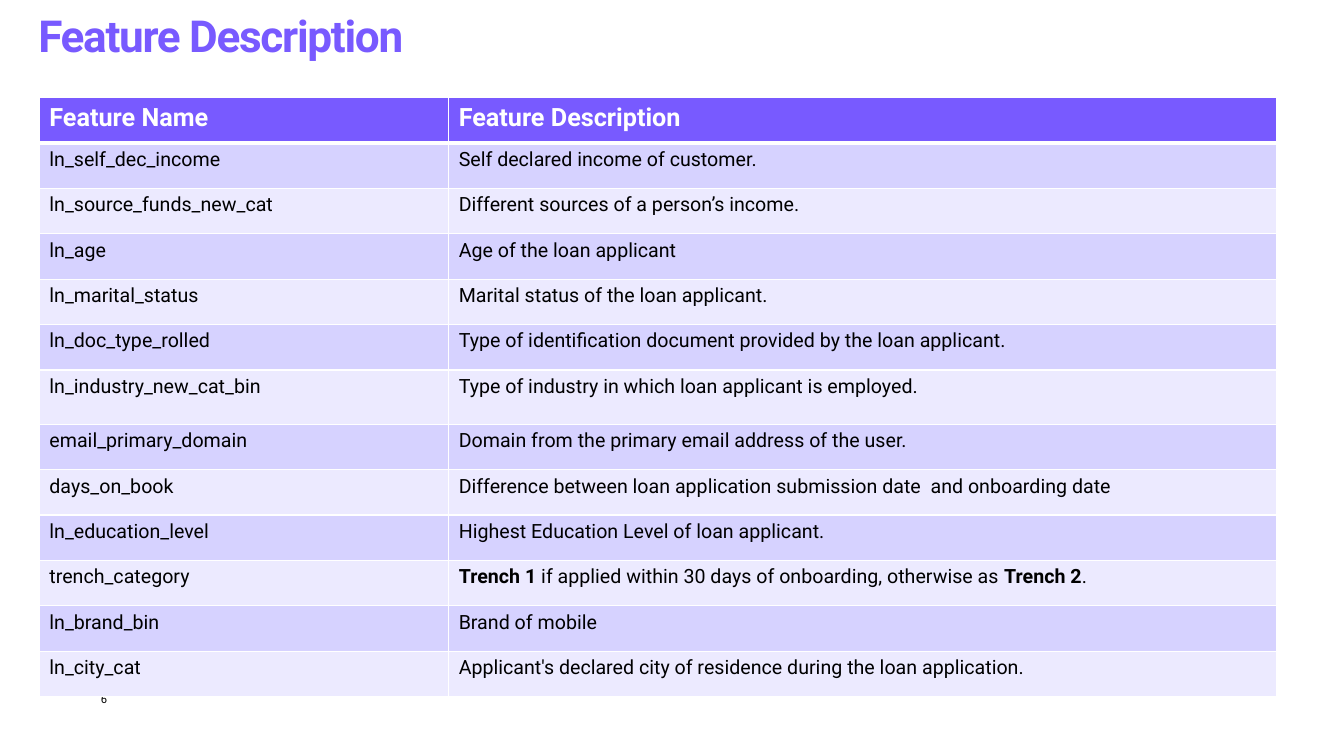
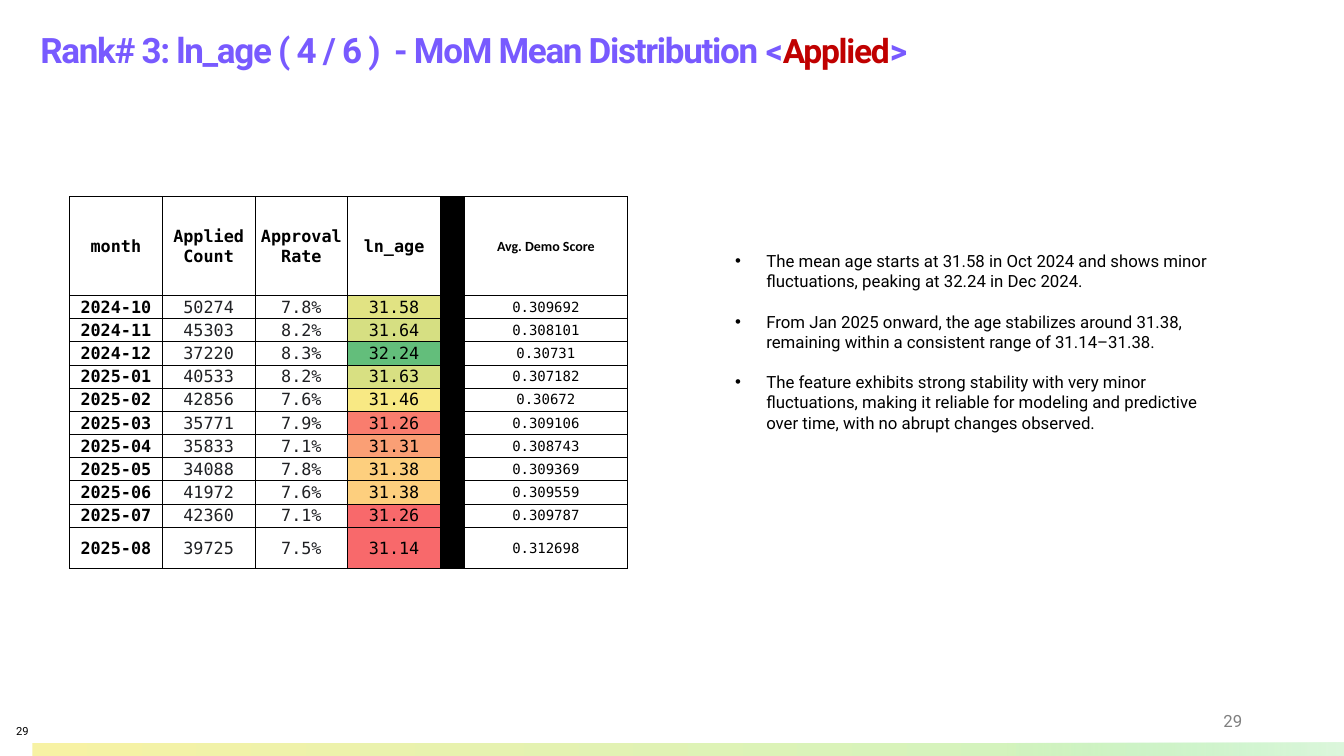
from lxml import etree
from pptx import Presentation
from pptx.dml.color import RGBColor
from pptx.enum.shapes import MSO_SHAPE
from pptx.enum.text import MSO_ANCHOR, MSO_AUTO_SIZE, PP_ALIGN
from pptx.oxml.ns import qn
from pptx.util import Inches, Pt

RECTANGLE = MSO_SHAPE.RECTANGLE
TOP, MIDDLE = MSO_ANCHOR.TOP, MSO_ANCHOR.MIDDLE
LEFT, CENTER, RIGHT = PP_ALIGN.LEFT, PP_ALIGN.CENTER, PP_ALIGN.RIGHT
NO_AUTOFIT = MSO_AUTO_SIZE.NONE

PURPLE = RGBColor(0x78, 0x5A, 0xFF)
LILAC = RGBColor(0xD6, 0xD2, 0xFF)
PALE_LILAC = RGBColor(0xEC, 0xEA, 0xFF)
WHITE = RGBColor(0xFF, 0xFF, 0xFF)
BLACK = RGBColor(0x00, 0x00, 0x00)
CHARCOAL = RGBColor(0x20, 0x21, 0x24)
GRAY = RGBColor(0x80, 0x80, 0x80)
RED = RGBColor(0xC0, 0x00, 0x00)
YELLOW = RGBColor(0xF7, 0xF2, 0xA4)
GREEN = RGBColor(0xC7, 0xF3, 0xC6)
PALE_GREEN = RGBColor(0xDD, 0xF8, 0xDD)

HEAT_OLIVE = RGBColor(0xE1, 0xE3, 0x83)
HEAT_LIME = RGBColor(0xD6, 0xDF, 0x82)
HEAT_GREEN = RGBColor(0x63, 0xBE, 0x7B)
HEAT_MOSS = RGBColor(0xD8, 0xE0, 0x82)
HEAT_YELLOW = RGBColor(0xF8, 0xE9, 0x84)
HEAT_CORAL = RGBColor(0xF9, 0x7D, 0x6E)
HEAT_ORANGE = RGBColor(0xFA, 0x9F, 0x75)
HEAT_AMBER = RGBColor(0xFD, 0xCF, 0x7E)
HEAT_RED = RGBColor(0xF8, 0x69, 0x6B)

SANS, MONO, LABEL = "Roboto", "DejaVu Sans Mono", "Calibri"
TITLE_ONLY, TITLE_AND_BODY = 5, 1

FEATURES = [
    ("ln_self_dec_income", "Self declared income of customer."),
    ("ln_source_funds_new_cat", "Different sources of a person’s income."),
    ("ln_age", "Age of the loan applicant"),
    ("ln_marital_status", "Marital status of the loan applicant."),
    ("ln_doc_type_rolled",
     "Type of identification document provided by the loan applicant."),
    ("ln_industry_new_cat_bin",
     "Type of industry in which loan applicant is employed."),
    ("email_primary_domain",
     "Domain from the primary email address of the user."),
    ("days_on_book",
     "Difference between loan application submission date  and onboarding date"),
    ("ln_education_level", "Highest Education Level of loan applicant."),
    ("trench_category", [
        ("Trench 1", {"bold": True}),
        (" if applied within 30 days of onboarding, otherwise as ", {}),
        ("Trench 2", {"bold": True}),
        (".", {}),
    ]),
    ("ln_brand_bin", "Brand of mobile"),
    ("ln_city_cat",
     "Applicant's declared city of residence during the loan application."),
]

MONTHS = [
    ("2024-10", "50274", "7.8%", "31.58", HEAT_OLIVE, "0.309692"),
    ("2024-11", "45303", "8.2%", "31.64", HEAT_LIME, "0.308101"),
    ("2024-12", "37220", "8.3%", "32.24", HEAT_GREEN, "0.30731"),
    ("2025-01", "40533", "8.2%", "31.63", HEAT_MOSS, "0.307182"),
    ("2025-02", "42856", "7.6%", "31.46", HEAT_YELLOW, "0.30672"),
    ("2025-03", "35771", "7.9%", "31.26", HEAT_CORAL, "0.309106"),
    ("2025-04", "35833", "7.1%", "31.31", HEAT_ORANGE, "0.308743"),
    ("2025-05", "34088", "7.8%", "31.38", HEAT_AMBER, "0.309369"),
    ("2025-06", "41972", "7.6%", "31.38", HEAT_AMBER, "0.309559"),
    ("2025-07", "42360", "7.1%", "31.26", HEAT_RED, "0.309787"),
    ("2025-08", "39725", "7.5%", "31.14", HEAT_RED, "0.312698"),
]

FINDINGS = [
    "The mean age starts at 31.58 in Oct 2024 and shows minor fluctuations, "
    "peaking at 32.24 in Dec 2024.",
    "From Jan 2025 onward, the age stabilizes around 31.38, remaining within "
    "a consistent range of 31.14–31.38.",
    "The feature exhibits strong stability with very minor fluctuations, "
    "making it reliable for modeling and predictive over time, with no abrupt "
    "changes observed.",
]


class Page:
    def __init__(self, deck, layout):
        self.slide = deck.slides.add_slide(deck.slide_layouts[layout])
        self.shapes = self.slide.shapes

    def place(self, shape, left, top, width, height):
        shape.left, shape.top = Inches(left), Inches(top)
        shape.width, shape.height = Inches(width), Inches(height)

    def add_spans(self, para, text, size, color=BLACK, bold=False, font=SANS,
                  tracking=None):
        spans = [(text, {})] if isinstance(text, str) else text
        for words, changes in spans:
            style = {"size": size, "color": color, "bold": bold, **changes}
            span = para.add_run()
            span.text = words
            span.font.name = font
            span.font.size = Pt(style["size"])
            span.font.bold = style["bold"]
            span.font.color.rgb = style["color"]
            if tracking is not None:
                span.font._element.set("spc", str(round(tracking * 100)))

    def frame(self, shape, anchor=TOP, inset=True):
        frame = shape.text_frame
        frame.word_wrap = True
        frame.auto_size = NO_AUTOFIT
        frame.vertical_anchor = anchor
        if not inset:
            frame.margin_left = frame.margin_right = 0
            frame.margin_top = frame.margin_bottom = 0
        return frame

    def title(self, text, at, size, line_spacing):
        title = self.shapes.title
        self.place(title, *at)
        para = self.frame(title, MIDDLE, inset=False).paragraphs[0]
        para.alignment = LEFT
        para.line_spacing = line_spacing
        self.add_spans(para, text, size, PURPLE, bold=True, tracking=-0.9)

    def bullets(self, items, at, size):
        body = self.slide.placeholders[1]
        self.place(body, *at)
        frame = self.frame(body)
        for index, item in enumerate(items):
            para = frame.add_paragraph() if index else frame.paragraphs[0]
            para.space_before = Pt(14.4 if index else 0)
            properties = para._p.get_or_add_pPr()
            properties.set("marL", str(Inches(0.31)))
            properties.set("indent", str(-Inches(0.31)))
            etree.SubElement(properties, qn("a:buChar")).set("char", "•")
            self.add_spans(para, item, size)

    def text(self, text, at, size, color=BLACK, align=LEFT, anchor=TOP,
             inset=False):
        box = self.shapes.add_textbox(*map(Inches, at))
        para = self.frame(box, anchor, inset).paragraphs[0]
        para.alignment = align
        self.add_spans(para, text, size, color)

    def page_number(self, number, left, top):
        self.text(number, (left, top, 2.92, 0.25), 8)

    def band(self, left, width, stops, clear_start=False):
        band = self.shapes.add_shape(
            RECTANGLE, Inches(left), Inches(7.37), Inches(width), Inches(0.13))
        band.shadow.inherit = False
        band.line.fill.background()
        band.fill.gradient()
        band.fill.gradient_angle = 0
        for stop, (position, color) in zip(band.fill.gradient_stops, stops):
            stop.position = position
            stop.color.rgb = color
        if clear_start:
            first = next(band._element.iter(qn("a:srgbClr")))
            etree.SubElement(first, qn("a:alpha")).set("val", "0")

    def table(self, left, top, columns, rows):
        table = self.shapes.add_table(
            len(rows), len(columns), Inches(left), Inches(top),
            Inches(sum(columns)), Inches(sum(rows))).table
        table.first_row = table.horz_banding = False
        for column, width in zip(table.columns, columns):
            column.width = Inches(width)
        for row, height in zip(table.rows, rows):
            row.height = Inches(height)
        return table

    def cell(self, cell, fill, border, width, top=None, bottom=None):
        properties = cell._tc.get_or_add_tcPr()
        widths = {"lnL": width, "lnR": width,
                  "lnT": top or width, "lnB": bottom or width}
        for side, points in widths.items():
            line = etree.SubElement(properties, qn("a:" + side))
            line.set("w", str(Pt(points)))
            solid = etree.SubElement(line, qn("a:solidFill"))
            etree.SubElement(solid, qn("a:srgbClr")).set("val", str(border))
        cell.fill.solid()
        cell.fill.fore_color.rgb = fill

    def feature_table(self, features):
        heights = [0.54 if name == "ln_industry_new_cat_bin" else 0.45
                   for name, _ in features]
        table = self.table(0.39, 0.97, (4.06, 8.21), [0.45] + heights)
        rows = [("Feature Name", "Feature Description")] + features
        for index, row in enumerate(rows):
            header = index == 0
            fill = PURPLE if header else LILAC if index % 2 else PALE_LILAC
            for column, text in enumerate(row):
                cell = table.cell(index, column)
                self.cell(cell, fill, WHITE, 1, top=3 if index == 1 else 1,
                          bottom=3 if header else 1)
                self.add_spans(cell.text_frame.paragraphs[0], text,
                               18 if header else 14,
                               WHITE if header else BLACK, bold=header)

    def month_table(self, months):
        divider, score, age = 4, 5, 3
        table = self.table(0.69, 1.95, (0.92, 0.92, 0.92, 0.92, 0.24, 1.61),
                           [0.98] + [0.23] * (len(months) - 1) + [0.41])
        header = ("month", "Applied Count", "Approval Rate", "ln_age", WHITE,
                  "Avg. Demo Score")
        for index, row in enumerate([header] + months):
            for column, text in enumerate(row):
                cell = table.cell(index, column)
                cell.vertical_anchor = MIDDLE
                cell.margin_left = cell.margin_right = Inches(0.01)
                cell.margin_top, cell.margin_bottom = Inches(0.01), 0
                fill = {divider: BLACK, age: row[divider]}.get(column, WHITE)
                self.cell(cell, fill, BLACK, 0.5)
                if column == divider:
                    continue
                para = cell.text_frame.paragraphs[0]
                para.alignment = CENTER
                self.add_spans(
                    para, text, 10 if column == score else 12,
                    CHARCOAL if index and column in (1, 2) else BLACK,
                    bold=index == 0 or column == 0,
                    font=LABEL if index == 0 and column == score else MONO)
        table.cell(0, divider).merge(table.cell(len(months), divider))


def feature_page(deck):
    page = Page(deck, TITLE_ONLY)
    page.page_number("6", 1, 6.87)
    page.title("Feature Description", (0.38, 0, 11.34, 0.64), 31.5, 1.1)
    page.feature_table(FEATURES)


def age_page(deck):
    page = Page(deck, TITLE_AND_BODY)
    page.text("29", (9.42, 6.95, 3, 0.4), 12, GRAY, RIGHT, MIDDLE, inset=True)
    page.band(0.32, 13.01, [(0, YELLOW), (1, GREEN)])
    page.band(9.2, 4.13, [(0.19, GREEN), (1, PALE_GREEN)], clear_start=True)
    page.title([
        ("Rank# 3: ln_age ( 4 / 6 )  - MoM Mean Distribution ", {}),
        ("<", {"size": 24}),
        ("Applied", {"size": 24, "color": RED}),
        (">", {"size": 24}),
    ], (0.4, 0.08, 12.28, 0.61), 25, 1.5)
    page.page_number("29", 0.16, 7.19)
    page.bullets(FINDINGS, (7.19, 2.44, 5.12, 2.12), 12)
    page.month_table(MONTHS)


def main():
    deck = Presentation()
    deck.slide_width, deck.slide_height = Inches(13.33), Inches(7.5)
    feature_page(deck)
    age_page(deck)
    deck.save("out.pptx")


if __name__ == "__main__":
    main()
